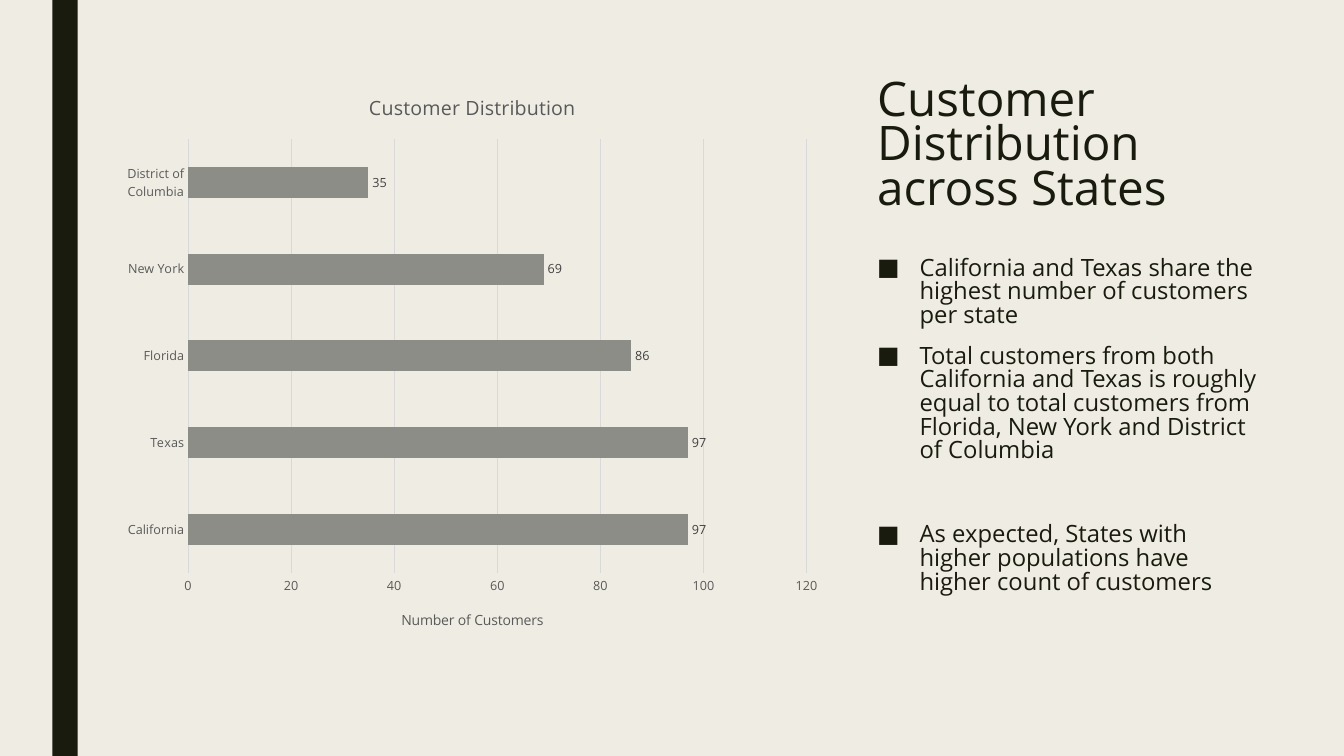
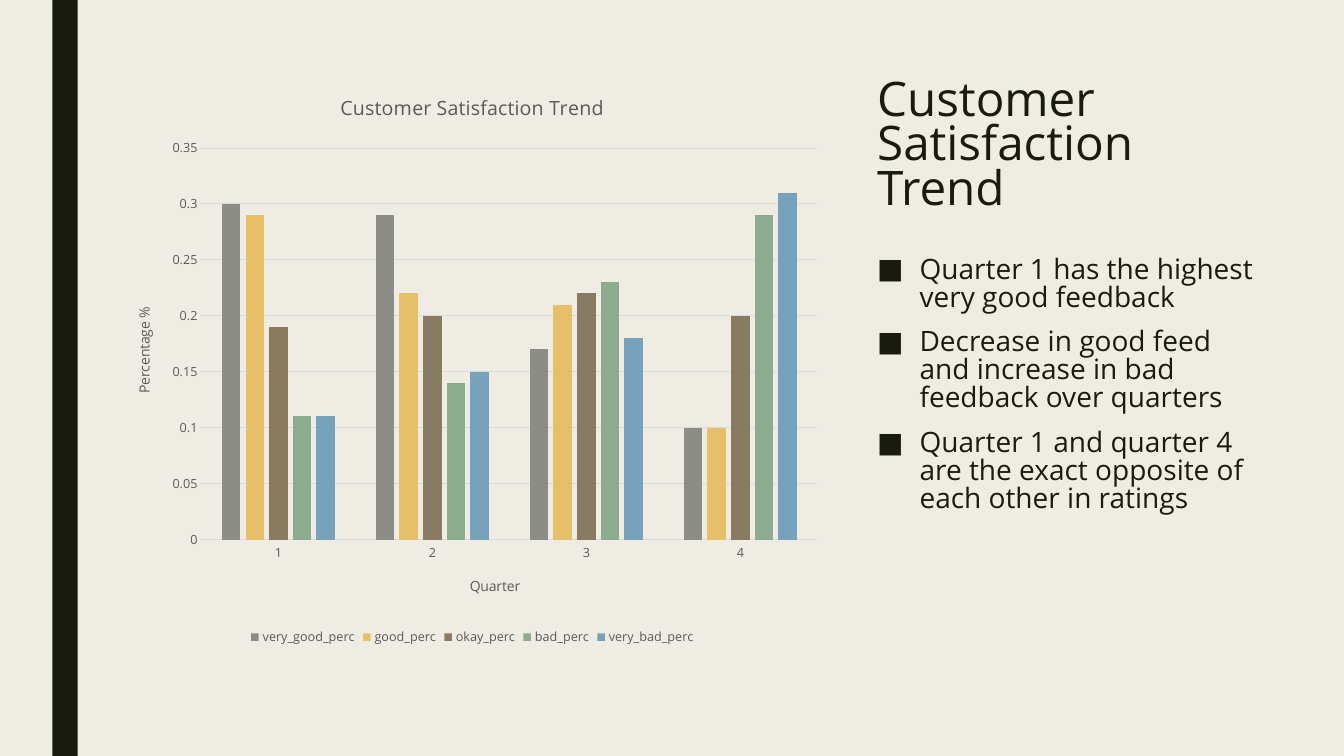
from dataclasses import dataclass

from lxml import etree
from pptx import Presentation
from pptx import util as u
from pptx.chart.data import CategoryChartData
from pptx.dml.color import RGBColor
from pptx.enum import chart as ch
from pptx.enum import shapes, text
from pptx.oxml.ns import qn

FONT = "Open Sans"
PAPER, INK = "EFEDE3", "191B0E"
GRAY, DARK_GRAY, GRID = "595959", "404040", "D9D9D9"


@dataclass(frozen=True)
class Series:
    name: str
    values: tuple[float, ...]
    color: str


@dataclass(frozen=True)
class Bullet:
    text: str
    before: float = 10


@dataclass(frozen=True)
class ChartPage:
    title: str
    bullets: tuple[Bullet, ...]
    bullet_size: int
    body_height: float
    kind: ch.XL_CHART_TYPE
    chart_title: str
    categories: tuple[str, ...]
    series: tuple[Series, ...]
    value_title: str
    maximum: float
    step: float
    gap: int
    overlap: int = 0
    category_title: str = ""
    labels: bool = False
    legend: bool = False


PAGES = (
    ChartPage(
        title="Customer Distribution across States",
        bullets=(
            Bullet("California and Texas share the highest number of customers per state"),
            Bullet("Total customers from both California and Texas is roughly equal to "
                   "total customers from Florida, New York and District of Columbia"),
            Bullet("As expected, States with higher populations have higher count "
                   "of customers", before=41),
        ),
        bullet_size=17,
        body_height=3.92,
        kind=ch.XL_CHART_TYPE.BAR_CLUSTERED,
        chart_title="Customer Distribution",
        categories=("California", "Texas", "Florida", "New York", "District of Columbia"),
        series=(Series("Series 1", (97, 97, 86, 69, 35), "8C8D86"),),
        value_title="Number of Customers",
        maximum=120,
        step=20,
        gap=182,
        labels=True,
    ),
    ChartPage(
        title="Customer Satisfaction Trend",
        bullets=(
            Bullet("Quarter 1 has the highest very good feedback"),
            Bullet("Decrease in good feed and increase in bad feedback over quarters"),
            Bullet("Quarter 1 and quarter 4 are the exact opposite of each other in ratings"),
        ),
        bullet_size=20,
        body_height=3.43,
        kind=ch.XL_CHART_TYPE.COLUMN_CLUSTERED,
        chart_title="Customer Satisfaction Trend",
        categories=("1", "2", "3", "4"),
        series=(
            Series("very_good_perc", (0.3, 0.29, 0.17, 0.1), "8C8D86"),
            Series("good_perc", (0.29, 0.22, 0.21, 0.1), "E6C069"),
            Series("okay_perc", (0.19, 0.2, 0.22, 0.2), "897B61"),
            Series("bad_perc", (0.11, 0.14, 0.23, 0.29), "8DAB8E"),
            Series("very_bad_perc", (0.11, 0.15, 0.18, 0.31), "77A2BB"),
        ),
        value_title="Percentage %",
        maximum=0.35,
        step=0.05,
        gap=219,
        overlap=-27,
        category_title="Quarter",
        legend=True,
    ),
)


def rgb(color: str) -> RGBColor:
    return RGBColor.from_string(color)


def paint(fill, color: str) -> None:
    fill.solid()
    fill.fore_color.rgb = rgb(color)


def set_font(font, size: float, color: str) -> None:
    font.name = FONT
    font.size = u.Pt(size)
    font.bold = False
    font.color.rgb = rgb(color)


def write(tf, content: str, *, size: float, color: str = INK, spacing: float | None = None,
          before: float = 0, after: float = 0, first: bool = True):
    p = tf.paragraphs[0] if first else tf.add_paragraph()
    if spacing:
        p.line_spacing = spacing
        p.space_before, p.space_after = u.Pt(before), u.Pt(after)
        p.alignment = text.PP_ALIGN.LEFT
    r = p.add_run()
    r.text = content
    set_font(r.font, size, color)
    return p


def add_bullet_mark(p) -> None:
    pPr = p._p.get_or_add_pPr()
    indent = u.Inches(0.42)
    pPr.set("marL", str(indent))
    pPr.set("indent", str(-indent))
    etree.SubElement(pPr, qn("a:buFont")).set("typeface", FONT)
    etree.SubElement(pPr, qn("a:buChar")).set("char", "■")


def place(sp, left: float, top: float, width: float, height: float):
    sp.left, sp.top = u.Inches(left), u.Inches(top)
    sp.width, sp.height = u.Inches(width), u.Inches(height)
    tf = sp.text_frame
    tf.word_wrap = True
    tf.auto_size = text.MSO_AUTO_SIZE.NONE
    tf.vertical_anchor = text.MSO_ANCHOR.TOP
    return tf


def add_band(s) -> None:
    sp = s.shapes.add_shape(shapes.MSO_SHAPE.RECTANGLE, u.Inches(0.52), 0,
                            u.Inches(0.25), u.Inches(7.5))
    sp.shadow.inherit = False
    paint(sp.fill, INK)
    sp.line.fill.background()


def style_axis(axis, title: str) -> None:
    axis.major_tick_mark = axis.minor_tick_mark = ch.XL_TICK_MARK.NONE
    set_font(axis.tick_labels.font, 9, GRAY)
    axis.has_title = bool(title)
    if title:
        write(axis.axis_title.text_frame, title, size=10, color=GRAY)


def style_line(line) -> None:
    line.color.rgb = rgb(GRID)
    line.width = u.Pt(0.75)


def add_chart(s, page: ChartPage) -> None:
    data = CategoryChartData()
    data.categories = page.categories
    for item in page.series:
        data.add_series(item.name, item.values)
    chart = s.shapes.add_chart(page.kind, u.Inches(1.12), u.Inches(0.71),
                               u.Inches(7.13), u.Inches(5.74), data).chart
    set_font(chart.font, 10, "000000")
    chart.has_title = True
    write(chart.chart_title.text_frame, page.chart_title, size=14, color=GRAY)
    chart.chart_title.include_in_layout = False

    category, value = chart.category_axis, chart.value_axis
    style_axis(category, page.category_title)
    style_line(category.format.line)
    style_axis(value, page.value_title)
    value.format.line.fill.background()
    style_line(value.major_gridlines.format.line)
    value.minimum_scale, value.maximum_scale = 0, page.maximum
    value.major_unit = page.step

    plot = chart.plots[0]
    plot.gap_width, plot.overlap = page.gap, page.overlap
    plot.vary_by_categories = False
    for series, item in zip(plot.series, page.series):
        paint(series.format.fill, item.color)
    if page.labels:
        plot.has_data_labels = True
        labels = plot.data_labels
        labels.show_value = True
        labels.position = ch.XL_LABEL_POSITION.OUTSIDE_END
        set_font(labels.font, 9, DARK_GRAY)
    chart.has_legend = page.legend
    if page.legend:
        chart.legend.position = ch.XL_LEGEND_POSITION.BOTTOM
        chart.legend.include_in_layout = False
        set_font(chart.legend.font, 9, GRAY)


def add_page(prs, page: ChartPage) -> None:
    s = prs.slides.add_slide(prs.slide_layouts[1])
    add_band(s)
    write(place(s.shapes.title, 8.6, 0.75, 4, 1.62), page.title, size=34, spacing=0.78)
    tf = place(s.placeholders[1], 8.6, 2.5, 4, page.body_height)
    for i, bullet in enumerate(page.bullets):
        p = write(tf, bullet.text, size=page.bullet_size, spacing=0.83,
                  before=bullet.before, after=2, first=i == 0)
        add_bullet_mark(p)
    add_chart(s, page)


def main() -> None:
    prs = Presentation()
    prs.slide_width, prs.slide_height = u.Inches(13.33), u.Inches(7.5)
    paint(prs.slide_master.background.fill, PAPER)
    for page in PAGES:
        add_page(prs, page)
    prs.save("out.pptx")


if __name__ == "__main__":
    main()
